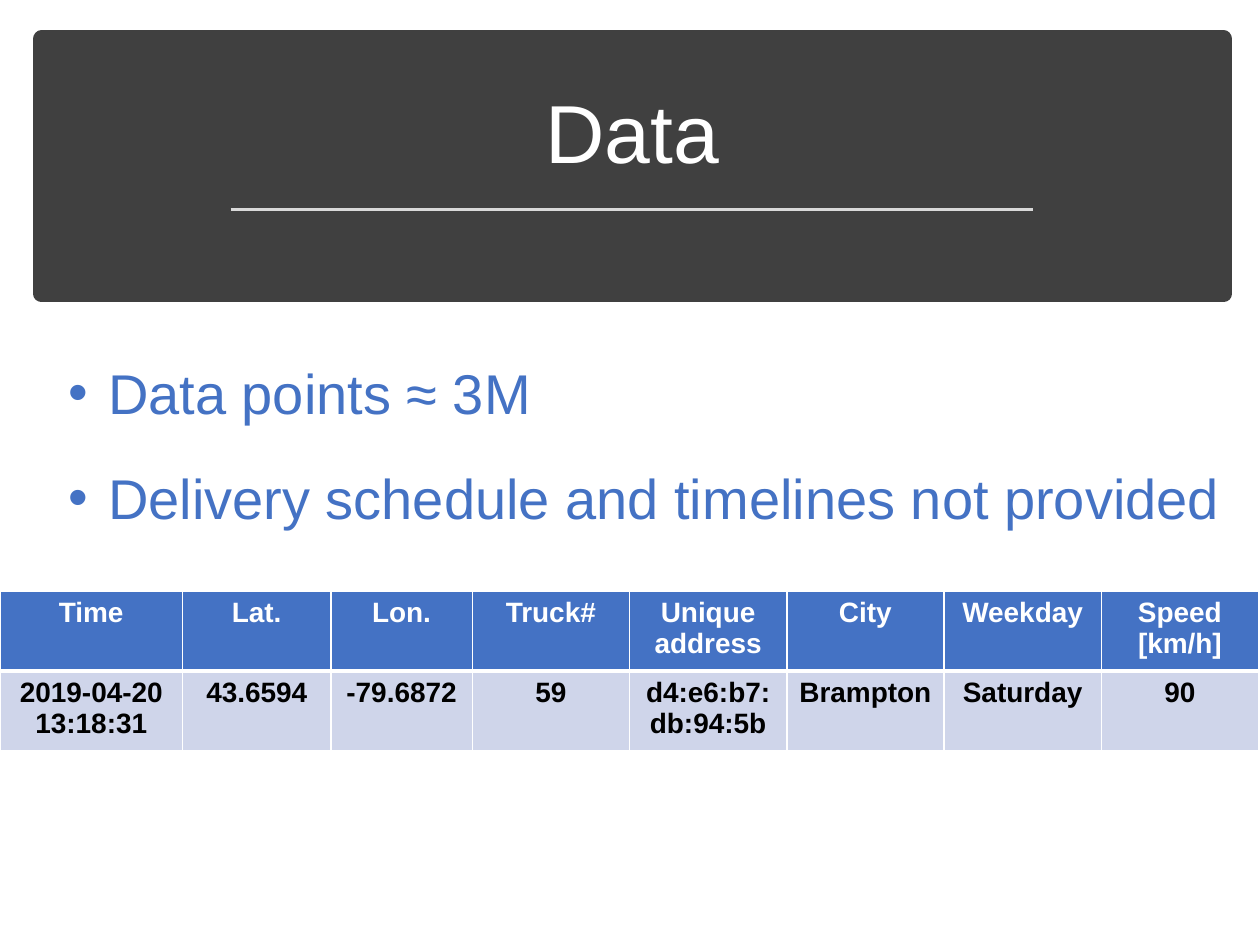
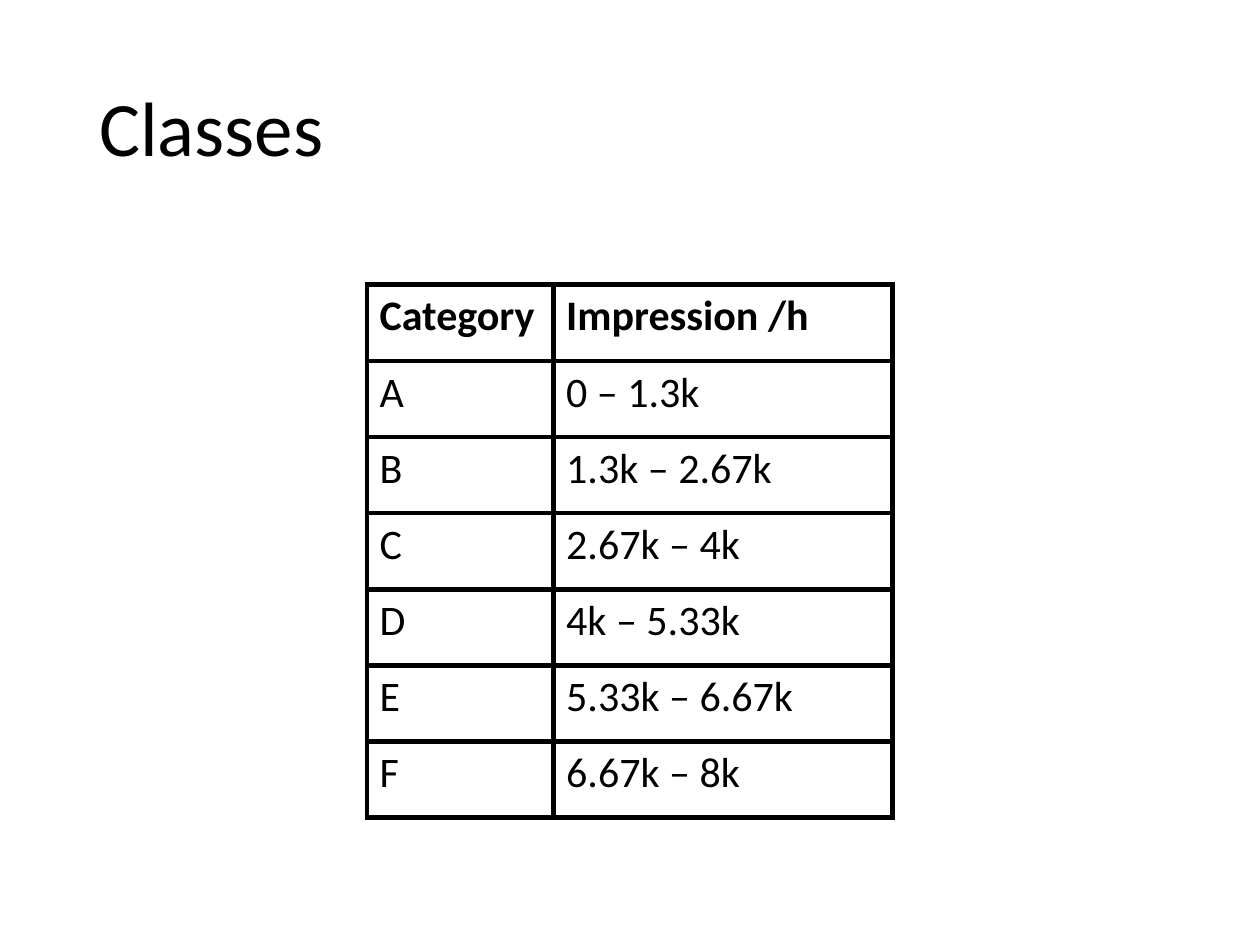
from lxml import etree
from pptx import Presentation
from pptx.dml.color import RGBColor
from pptx.enum.shapes import MSO_CONNECTOR, MSO_SHAPE
from pptx.enum.text import MSO_ANCHOR, PP_ALIGN
from pptx.oxml.ns import qn
from pptx.util import Cm, Pt

LEFT, CENTER = PP_ALIGN.LEFT, PP_ALIGN.CENTER
MIDDLE, BOTTOM = MSO_ANCHOR.MIDDLE, MSO_ANCHOR.BOTTOM
RECTANGLE, STRAIGHT = MSO_SHAPE.RECTANGLE, MSO_CONNECTOR.STRAIGHT

WHITE, BLACK = "FFFFFF", "000000"
CHARCOAL, LIGHT_GRAY = "404040", "D9D9D9"
BLUE, PALE_BLUE = "4472C4", "CFD5EA"


def color(value):
    return RGBColor.from_string(value)


class Deck:
    """Holds the presentation, the current slide and its font."""

    def __init__(self):
        self.presentation = Presentation()
        self.presentation.slide_width = Cm(25.4)
        self.presentation.slide_height = Cm(19.05)

    def new_slide(self, font):
        self.font = font
        self.slide = self.presentation.slides.add_slide(self.presentation.slide_layouts[6])

    def add_run(self, paragraph, text, size, text_color, bold=False):
        run = paragraph.add_run()
        run.text = text
        run.font.name = self.font
        run.font.size = Pt(size)
        run.font.bold = bold
        run.font.color.rgb = color(text_color)

    def text_box(self, box, anchor=None):
        frame = self.slide.shapes.add_textbox(*map(Cm, box)).text_frame
        frame.word_wrap = True
        if anchor is not None:
            frame.vertical_anchor = anchor
        return frame

    def title(self, text, box, size, text_color, align, anchor):
        paragraph = self.text_box(box, anchor).paragraphs[0]
        paragraph.alignment = align
        paragraph.line_spacing = 0.9
        self.add_run(paragraph, text, size, text_color)

    def band(self, box, fill):
        shape = self.slide.shapes.add_shape(RECTANGLE, *map(Cm, box))
        shape.shadow.inherit = False
        shape.fill.solid()
        shape.fill.fore_color.rgb = color(fill)
        shape.line.color.rgb = color(fill)
        shape.line.width = Pt(10)

    def rule(self, left, right, top, line_color, width):
        line = self.slide.shapes.add_connector(STRAIGHT, Cm(left), Cm(top), Cm(right), Cm(top))
        line.line.color.rgb = color(line_color)
        line.line.width = Pt(width)
        etree.SubElement(line._element.spPr, qn("a:effectLst"))

    def bullets(self, items, box, size, text_color):
        frame = self.text_box(box)
        for index, item in enumerate(items):
            paragraph = frame.paragraphs[0] if index == 0 else frame.add_paragraph()
            properties = paragraph._p.get_or_add_pPr()
            properties.set("marL", str(Cm(0.79)))
            properties.set("indent", str(-Cm(0.79)))
            etree.SubElement(properties, qn("a:buFont"), typeface="Arial")
            etree.SubElement(properties, qn("a:buChar"), char="•")
            paragraph.line_spacing = 1.5
            if index:
                paragraph.space_before = Pt(2.5)
            self.add_run(paragraph, item, size, text_color)

    def border(self, cell, side, line_color, width):
        line = etree.SubElement(cell._tc.get_or_add_tcPr(), qn(f"a:ln{side}"), w=str(Pt(width)))
        fill = etree.SubElement(line, qn("a:solidFill"))
        etree.SubElement(fill, qn("a:srgbClr"), val=line_color)

    def table(self, rows, left, top, widths, row_height, size, align, style):
        """style(row) gives text colour, bold, fill, border colour and widths by side."""
        table = self.slide.shapes.add_table(
            len(rows), len(widths), Cm(left), Cm(top),
            Cm(sum(widths)), Cm(row_height * len(rows))).table
        table.first_row = table.horz_banding = False
        for column, width in zip(table.columns, widths):
            column.width = Cm(width)
        for row_index, row in enumerate(rows):
            table.rows[row_index].height = Cm(row_height)
            text_color, bold, fill, line_color, sides = style(row_index)
            for column_index, text in enumerate(row):
                cell = table.cell(row_index, column_index)
                for side, width in sides.items():
                    self.border(cell, side, line_color, width)
                if fill:
                    cell.fill.solid()
                    cell.fill.fore_color.rgb = color(fill)
                else:
                    cell.fill.background()
                for index, line in enumerate(text.split("\n")):
                    frame = cell.text_frame
                    paragraph = frame.add_paragraph() if index else frame.paragraphs[0]
                    paragraph.alignment = align
                    self.add_run(paragraph, line, size, text_color, bold)


def sample_style(row):
    if row == 0:
        return WHITE, True, BLUE, WHITE, {"L": 1, "R": 1, "T": 1, "B": 3}
    return BLACK, True, PALE_BLUE, WHITE, {"L": 1, "R": 1, "T": 3, "B": 1}


def class_style(row):
    return BLACK, row == 0, None, BLACK, dict.fromkeys("LRTB", 3)


def data_slide(deck):
    deck.new_slide("Arial")
    # Title band
    deck.band((0.84, 0.79, 23.83, 5.13), CHARCOAL)
    deck.title("Data", (1.14, 1.19, 23.22, 2.59), 47, WHITE, CENTER, BOTTOM)
    deck.rule(4.65, 20.83, 4.22, LIGHT_GRAY, 1.75)
    # Key facts
    deck.bullets(["Data points ≈ 3M", "Delivery schedule and timelines not provided"],
                 (1.14, 6.43, 24.26, 4.11), 32, BLUE)
    # Sample record
    rows = [
        ["Time", "Lat.", "Lon.", "Truck#", "Unique address", "City", "Weekday", "Speed\n[km/h]"],
        ["2019-04-20 13:18:31", "43.6594", "-79.6872", "59", "d4:e6:b7:db:94:5b",
         "Brampton", "Saturday", "90"],
    ]
    widths = [3.68, 2.99, 2.85] + [3.17] * 5
    deck.table(rows, 0, 11.92, widths, 1.61, 16, CENTER, sample_style)


def classes_slide(deck):
    deck.new_slide("Calibri")
    deck.title("Classes", (1.75, 0.81, 21.9, 3.68), 44, BLACK, LEFT, MIDDLE)
    # Impression range of each class
    limits = ["0", "1.3k", "2.67k", "4k", "5.33k", "6.67k", "8k"]
    rows = [["Category", "Impression /h"]]
    rows += [[name, f"{low} – {high}"] for name, low, high in zip("ABCDEF", limits, limits[1:])]
    deck.table(rows, 7.4, 5.74, [3.76, 6.83], 1.535, 24, LEFT, class_style)


def main():
    deck = Deck()
    data_slide(deck)
    classes_slide(deck)
    deck.presentation.save("out.pptx")


if __name__ == "__main__":
    main()
